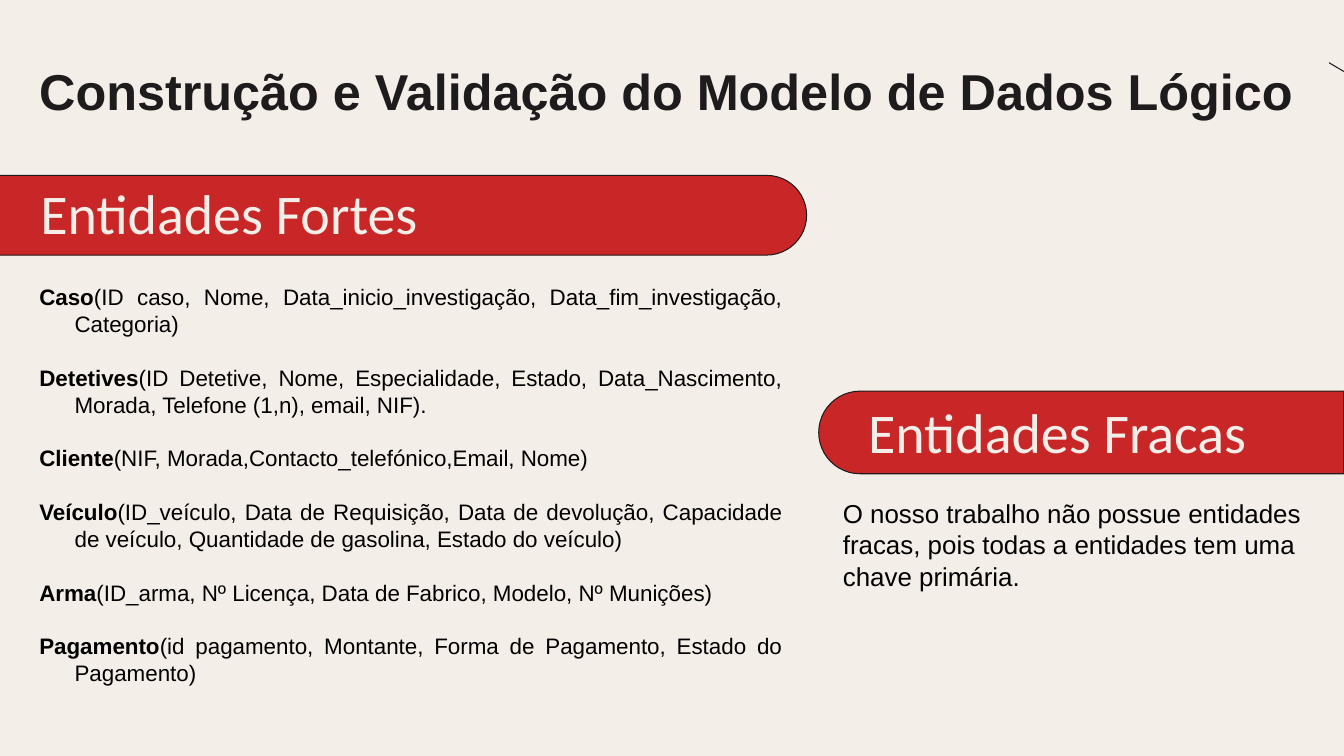
import pptx
import pptx.util
import pptx.dml.color
import pptx.enum.shapes
import pptx.enum.text

Inches = pptx.util.Inches
Pt = pptx.util.Pt
RGBColor = pptx.dml.color.RGBColor
Align = pptx.enum.text.PP_ALIGN
Anchor = pptx.enum.text.MSO_ANCHOR
Shape = pptx.enum.shapes.MSO_SHAPE

CREAM = RGBColor(0xF4, 0xEE, 0xE9)
RED = RGBColor(0xC9, 0x27, 0x27)
INK = RGBColor(0x1E, 0x1B, 0x1C)
BLACK = RGBColor(0, 0, 0)

TITLE = "Construção e Validação do Modelo de Dados Lógico"
ENTITIES = [
    ("Caso", "(ID caso, Nome, Data_inicio_investigação, Data_fim_investigação, Categoria)"),
    ("Detetives", "(ID Detetive, Nome, Especialidade, Estado, Data_Nascimento, Morada, Telefone (1,n), email, NIF)."),
    ("Cliente", "(NIF, Morada,Contacto_telefónico,Email, Nome)"),
    ("Veículo", "(ID_veículo, Data de Requisição, Data de devolução, Capacidade de veículo, Quantidade de gasolina, Estado do veículo)"),
    ("Arma", "(ID_arma, Nº Licença, Data de Fabrico, Modelo, Nº Munições)"),
    ("Pagamento", "(id pagamento, Montante, Forma de Pagamento, Estado do Pagamento)"),
]
WEAK_NOTE = "O nosso trabalho não possue\u00a0entidades fracas, pois todas a entidades tem uma chave primária."
BANNERS = [
    ("Entidades Fortes", (-0.01, 1.74, 8.01, 0.79), 90, (0.27, 1.66, 7.08, 0.78)),
    ("Entidades Fracas", (8.12, 3.88, 5.21, 0.82), 270, (8.48, 3.83, 4.7, 0.78)),
]
RIDGE = [(12.82, 0.41), (13.33, 0.71), (12.82, 0.41), (11.92, 0.94),
         (11.78, 0.84), (11.04, 1.26), (11.78, 0.83), (11.92, 0.93)]
RIDGE_COVER = (9.09, 0.29, 4.09, 2.55)

presentation = pptx.Presentation()
presentation.slide_width = Inches(13.33)
presentation.slide_height = Inches(7.5)
slide = presentation.slides.add_slide(presentation.slide_layouts[6])
slide.background.fill.solid()
slide.background.fill.fore_color.rgb = CREAM


def add_text(paragraphs, box, size, color, font="Arial", bold=False, anchor=Anchor.TOP,
             inset=(0.13, 0.13), align=Align.LEFT, hanging=None, gap=0):
    frame = slide.shapes.add_textbox(*map(Inches, box)).text_frame
    frame.word_wrap = True
    frame.vertical_anchor = anchor
    frame.margin_left = frame.margin_right = Inches(inset[0])
    frame.margin_top = frame.margin_bottom = Inches(inset[1])
    for index, parts in enumerate(paragraphs):
        paragraph = frame.add_paragraph() if index else frame.paragraphs[0]
        paragraph.alignment = align
        if index:
            paragraph.space_before = Pt(gap)
        if hanging:
            properties = paragraph._p.get_or_add_pPr()
            properties.set("marL", str(Inches(hanging[0])))
            properties.set("indent", str(Inches(hanging[1])))
        for position, text in enumerate(parts):
            run = paragraph.add_run()
            run.text = text
            run.font.name = font
            run.font.size = Pt(size)
            run.font.color.rgb = color
            run.font.bold = bold or (len(parts) > 1 and position == 0)


def paint(shape, fill, line=None):
    shape.shadow.inherit = False
    shape.fill.solid()
    shape.fill.fore_color.rgb = fill
    if line is None:
        shape.line.fill.background()
    else:
        shape.line.color.rgb = line
        shape.line.width = Pt(0.75)


def add_banner(box, rotation):
    left, top, width, height = box
    banner = slide.shapes.add_shape(
        Shape.ROUND_2_SAME_RECTANGLE,
        Inches(left + (width - height) / 2), Inches(top + (height - width) / 2),
        Inches(height), Inches(width))
    banner.rotation = rotation
    banner.adjustments[0] = 0.5
    banner.adjustments[1] = 0
    paint(banner, RED, INK)


ridge_points = [(Inches(x), Inches(y)) for x, y in RIDGE]
ridge_builder = slide.shapes.build_freeform(*ridge_points[0])
ridge_builder.add_line_segments(ridge_points[1:], close=True)
paint(ridge_builder.convert_to_shape(), CREAM, INK)
paint(slide.shapes.add_shape(Shape.RECTANGLE, *map(Inches, RIDGE_COVER)), CREAM)

add_text([[TITLE]], (0.29, 0.48, 13.04, 0.84), 36, INK, bold=True,
         anchor=Anchor.MIDDLE, inset=(0.1, 0.1))
for heading, banner_box, rotation, heading_box in BANNERS:
    add_banner(banner_box, rotation)
    add_text([[heading]], heading_box, 40, CREAM, font="Calibri",
             anchor=Anchor.BOTTOM, inset=(0.13, 0))
add_text(ENTITIES, (0.11, 2.68, 7.78, 4.3), 16, BLACK, align=Align.JUSTIFY,
         hanging=(0.5, -0.35), gap=19.2)
add_text([[WEAK_NOTE]], (8.23, 4.81, 5.1, 1.72), 18.5, BLACK)

presentation.save("out.pptx")
